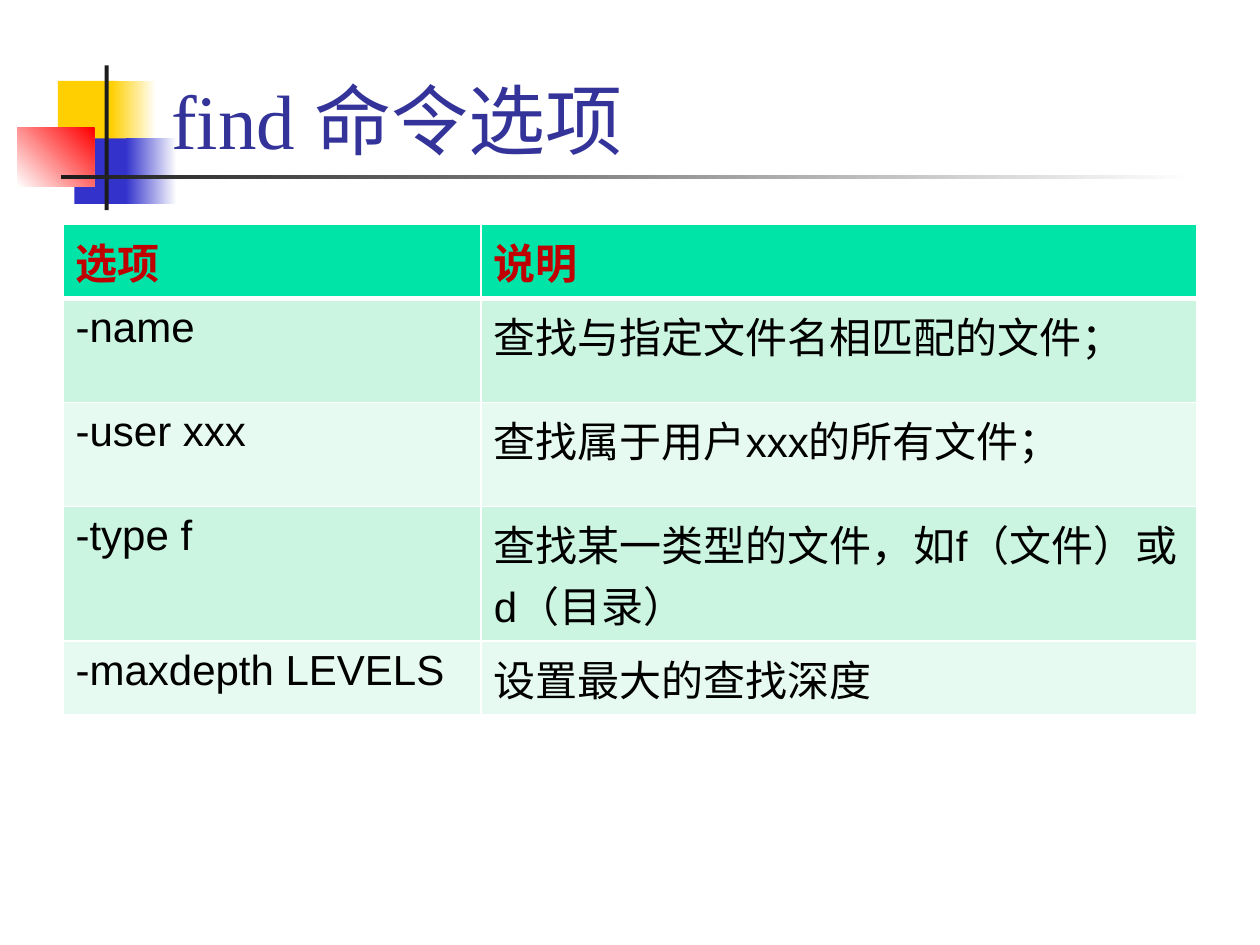
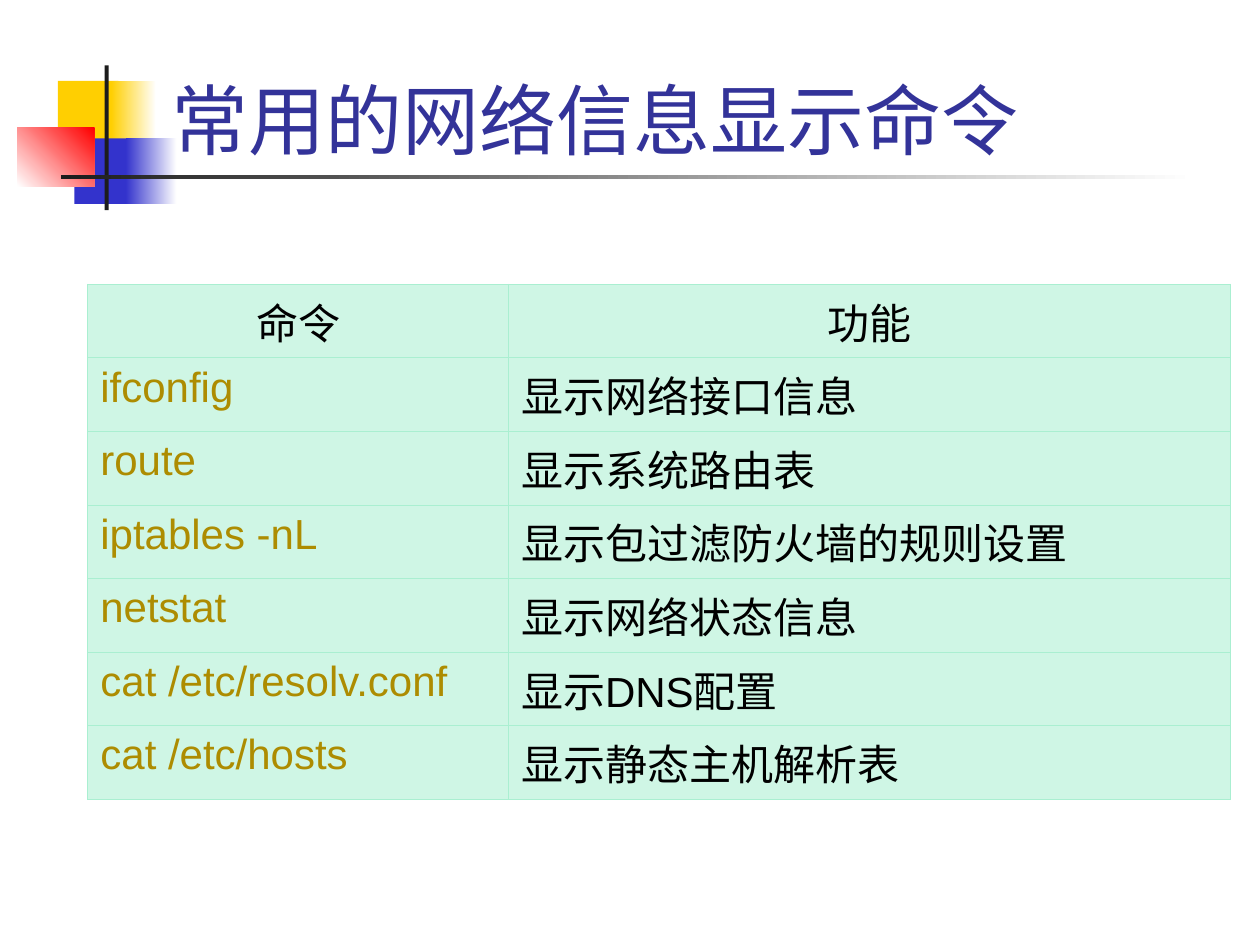
from lxml import etree
from pptx import Presentation
from pptx.dml.color import RGBColor
from pptx.enum.shapes import MSO_SHAPE
from pptx.enum.text import MSO_ANCHOR, MSO_AUTO_SIZE, PP_ALIGN
from pptx.oxml.ns import qn
from pptx.util import Cm, Pt

RECTANGLE = MSO_SHAPE.RECTANGLE
BOTTOM = MSO_ANCHOR.BOTTOM
NO_AUTOFIT = MSO_AUTO_SIZE.NONE
LEFT, CENTER = PP_ALIGN.LEFT, PP_ALIGN.CENTER

WHITE = RGBColor(0xFF, 0xFF, 0xFF)
BLACK = RGBColor(0x00, 0x00, 0x00)
YELLOW = RGBColor(0xFF, 0xCF, 0x01)
BLUE = RGBColor(0x33, 0x33, 0xCC)
RED = RGBColor(0xFF, 0x00, 0x00)
CHARCOAL = RGBColor(0x1C, 0x1C, 0x1C)
TITLE_BLUE = RGBColor(0x33, 0x33, 0x99)
HEADER_RED = RGBColor(0xC0, 0x00, 0x00)
HEADER_GREEN = RGBColor(0x00, 0xE4, 0xA8)
BAND_GREEN = RGBColor(0xCC, 0xF5, 0xE1)
BAND_PALE = RGBColor(0xE7, 0xFA, 0xF1)
COMMAND_GOLD = RGBColor(0xAD, 0x8C, 0x01)
GRID_GREEN = RGBColor(0xAA, 0xEF, 0xD1)
CELL_GREEN = RGBColor(0xCF, 0xF6, 0xE5)

TITLE_FONT = "Times New Roman"
TABLE_FONT = "Arial"
HANGING_INDENT = Cm(0.97)

ORNAMENTS = [
    (1.17, 1.63, 1.22, 1.32, [YELLOW], 0),
    (2.24, 1.63, 0.91, 1.32, [YELLOW, WHITE], 0),
    (1.5, 2.79, 1.17, 1.32, [BLUE], 0),
    (2.54, 2.79, 1.02, 1.32, [BLUE, WHITE], 0),
    (0.35, 2.58, 1.55, 1.18, [WHITE, RED], 45),
    (2.11, 1.32, 0.08, 2.92, [CHARCOAL], 0),
    (1.23, 3.53, 22.86, 0.08, [CHARCOAL, WHITE], 0),
]

FIND_OPTIONS = [
    ("选项", "说明"),
    ("-name", "查找与指定文件名相匹配的文件；"),
    ("-user xxx", "查找属于用户xxx的所有文件；"),
    ("-type f", "查找某一类型的文件，如f（文件）或d（目录）"),
    ("-maxdepth LEVELS", "设置最大的查找深度"),
]

NETWORK_COMMANDS = [
    ("命令", "功能"),
    ("ifconfig", "显示网络接口信息"),
    ("route", "显示系统路由表"),
    ("iptables -nL", "显示包过滤防火墙的规则设置"),
    ("netstat", "显示网络状态信息"),
    ("cat /etc/resolv.conf", "显示DNS配置"),
    ("cat /etc/hosts", "显示静态主机解析表"),
]


def add_titled_slide(presentation, title_text):
    slide = presentation.slides.add_slide(presentation.slide_layouts[5])
    for left, top, width, height, colors, angle in ORNAMENTS:
        shape = slide.shapes.add_shape(RECTANGLE, Cm(left), Cm(top), Cm(width), Cm(height))
        shape.shadow.inherit = False
        shape.line.fill.background()
        if len(colors) == 1:
            shape.fill.solid()
            shape.fill.fore_color.rgb = colors[0]
        else:
            shape.fill.gradient()
            shape.fill.gradient_angle = angle
            for stop, color in zip(shape.fill.gradient_stops, colors):
                stop.color.rgb = color

    title = slide.shapes.title
    slide.shapes.element.append(title.element)
    title.left, title.top, title.width, title.height = Cm(3.2), Cm(0.53), Cm(21.64), Cm(2.92)
    frame = title.text_frame
    frame.auto_size = NO_AUTOFIT
    frame.word_wrap = True
    frame.vertical_anchor = BOTTOM
    paragraph = frame.paragraphs[0]
    paragraph.alignment = LEFT
    run = paragraph.add_run()
    run.text = title_text
    run.font.name = TITLE_FONT
    run.font.size = Pt(44)
    run.font.color.rgb = TITLE_BLUE
    return slide


def fill_cell(cell, text, color, fill, borders, border_color):
    properties = cell._tc.get_or_add_tcPr()
    for side, width in zip(("lnL", "lnR", "lnT", "lnB"), borders):
        line = etree.SubElement(properties, qn("a:" + side), w=str(Pt(width)))
        solid = etree.SubElement(line, qn("a:solidFill"))
        etree.SubElement(solid, qn("a:srgbClr"), val=str(border_color))
    cell.fill.solid()
    cell.fill.fore_color.rgb = fill
    paragraph = cell.text_frame.paragraphs[0]
    run = paragraph.add_run()
    run.text = text
    run.font.name = TABLE_FONT
    run.font.size = Pt(24)
    run.font.bold = False
    run.font.color.rgb = color
    return paragraph


presentation = Presentation()
presentation.slide_width = Cm(25.4)
presentation.slide_height = Cm(19.05)

slide = add_titled_slide(presentation, "find 命令选项")
row_heights = [1.48, 2.1, 2.1, 2.7, 1.48]
table = slide.shapes.add_table(
    len(FIND_OPTIONS), 2, Cm(1.27), Cm(4.53), Cm(22.86), Cm(sum(row_heights))
).table
for column, width in zip(table.columns, (8.43, 14.43)):
    column.width = Cm(width)
for row_index, texts in enumerate(FIND_OPTIONS):
    table.rows[row_index].height = Cm(row_heights[row_index])
    is_header = row_index == 0
    color = HEADER_RED if is_header else BLACK
    fill = HEADER_GREEN if is_header else (BAND_PALE, BAND_GREEN)[row_index % 2]
    borders = (1, 1, 3 if row_index == 1 else 1, 3 if is_header else 1)
    for column_index, text in enumerate(texts):
        cell = table.cell(row_index, column_index)
        paragraph = fill_cell(cell, text, color, fill, borders, WHITE)
        paragraph.runs[0].font.bold = is_header

slide = add_titled_slide(presentation, "常用的网络信息显示命令")
row_height = 1.48
table = slide.shapes.add_table(
    len(NETWORK_COMMANDS), 2, Cm(1.77), Cm(5.73), Cm(23.03), Cm(row_height * len(NETWORK_COMMANDS))
).table
for column, width in zip(table.columns, (8.48, 14.55)):
    column.width = Cm(width)
for row_index, texts in enumerate(NETWORK_COMMANDS):
    table.rows[row_index].height = Cm(row_height)
    for column_index, text in enumerate(texts):
        color = COMMAND_GOLD if row_index > 0 and column_index == 0 else BLACK
        cell = table.cell(row_index, column_index)
        paragraph = fill_cell(cell, text, color, CELL_GREEN, (0.5,) * 4, GRID_GREEN)
        paragraph.alignment = CENTER if row_index == 0 else LEFT
        paragraph_properties = paragraph._p.get_or_add_pPr()
        paragraph_properties.set("marL", str(HANGING_INDENT))
        paragraph_properties.set("indent", str(-HANGING_INDENT))

presentation.save("out.pptx")
